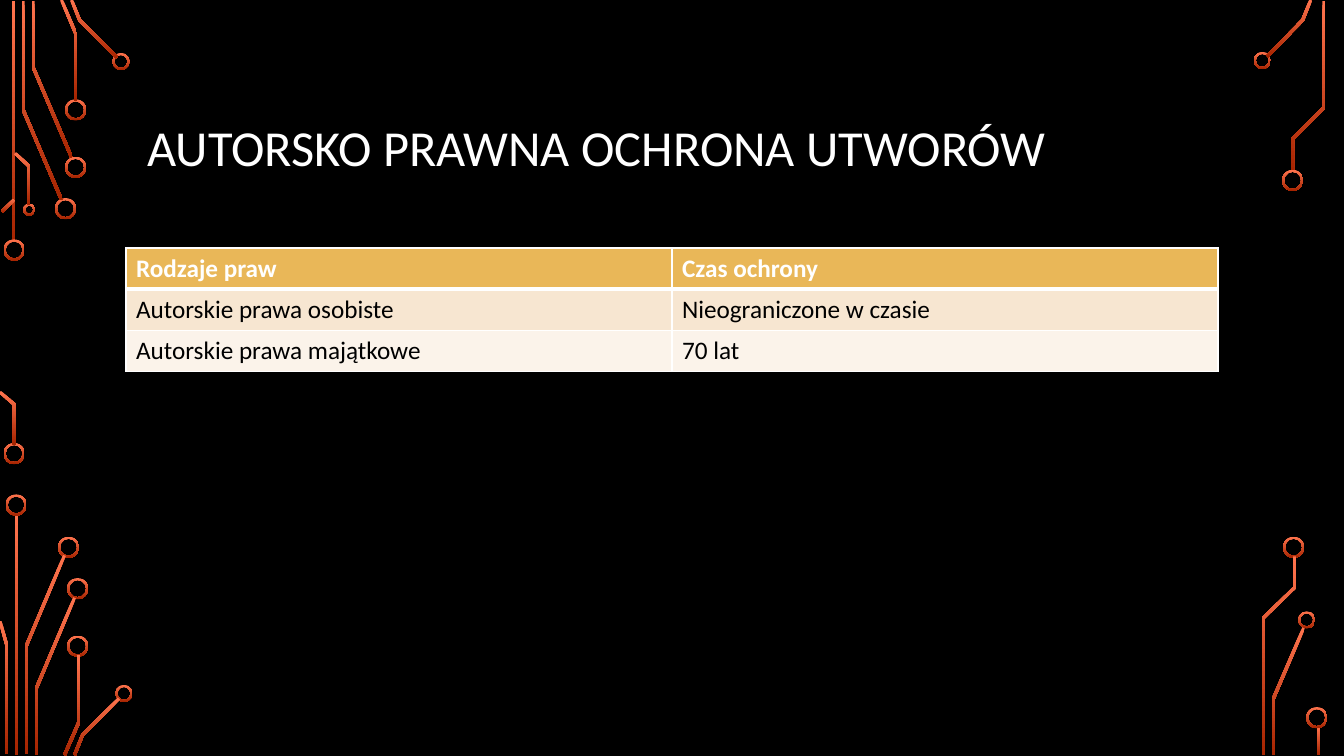
import math

import pptx
import pptx.dml.color
import pptx.enum.shapes
import pptx.enum.text
import pptx.oxml
import pptx.oxml.ns
import pptx.util

Inches, Pt = pptx.util.Inches, pptx.util.Pt

TITLE = " AUTORSKO PRAWNA OCHRONA UTWORÓW"
ROWS = [
    ("Rodzaje praw", "Czas ochrony"),
    ("Autorskie prawa osobiste", "Nieograniczone w czasie"),
    ("Autorskie prawa majątkowe", "70 lat"),
]
FILLS = ["E9B758", "F7E6D1", "FBF3EA"]
FONT, WHITE, BLACK = "Calibri", "FFFFFF", "000000"
GLOW, EMBER = "FF744E", "A62400"
WIDE = 0.03  # width of every trace and bar
RIM = 0.02  # thickness of every ring

# Bars: left, top, height
BARS = [(0.12, 0.01, 2.39), (0.15, 5.1, 2.39), (13.06, 7.21, 0.28)]

# Rings by diameter: centres
RINGS = {
    0.21: [
        (0.14, 2.48), (0.14, 4.5), (0.65, 2.07), (0.75, 1.66), (0.75, 1.09),
        (0.16, 5.01), (0.68, 5.43), (0.77, 5.84), (0.77, 6.41),
        (12.82, 1.79), (12.83, 5.43), (13.06, 7.12),
    ],
    0.17: [(1.2, 0.61), (1.23, 6.88), (12.52, 0.6), (12.96, 6.15)],
    0.12: [(0.29, 2.08)],
}

# Traces: points along the centre line
TRACES = [
    [(0.23, 0.01), (0.23, 1.09), (0.61, 1.98)],
    [(0.33, 0.01), (0.33, 0.67), (0.71, 1.56)],
    [(0.61, 0), (0.75, 0.33), (0.75, 1)],
    [(0.71, 0), (0.79, 0.2), (1.16, 0.57)],
    [(0.02, 2.1), (0.14, 1.98)],
    [(0, 3.89), (0.14, 4.01), (0.14, 4.41)],
    [(0.15, 1.52), (0.29, 1.65), (0.29, 2.03)],
    [(0.26, 7.48), (0.26, 6.41), (0.64, 5.51)],
    [(0.07, 7.48), (0.07, 6.41), (0, 6.16)],
    [(0.36, 7.49), (0.36, 6.83), (0.74, 5.93)],
    [(0.64, 7.49), (0.78, 7.17), (0.78, 6.5)],
    [(0.74, 7.49), (0.82, 7.29), (1.18, 6.93)],
    [(12.57, 0.56), (12.92, 0.2), (13, 0)],
    [(12.63, 7.49), (12.63, 6.93), (12.93, 6.23)],
    [(12.82, 1.69), (12.82, 1.38), (13.13, 1.07), (13.13, 0.01)],
    [(12.53, 7.49), (12.53, 6.13), (12.84, 5.83), (12.84, 5.52)],
]


def rgb(code):
    return pptx.dml.color.RGBColor.from_string(code)


def style(text, size, code, bold=False):
    for run in text.paragraphs[0].runs:
        run.font.name = FONT
        run.font.size = Pt(size)
        run.font.bold = bold
        run.font.color.rgb = rgb(code)


def glow(shape):
    """Give a circuit part its downward gradient, with no line or shadow."""
    shape.shadow.inherit = False
    shape.line.fill.background()
    shape.fill.gradient()
    shape.fill.gradient_angle = 270
    for stop, code in zip(shape.fill.gradient_stops, (GLOW, EMBER)):
        stop.color.rgb = rgb(code)


def outline(points):
    """Widen a centre line into a closed outline with mitred corners."""
    norms = []
    for (x, y), (u, v) in zip(points, points[1:]):
        span = math.hypot(u - x, v - y)
        norms.append(((y - v) / span, (u - x) / span))
    left, right = [], []
    for (x, y), (a, b), (c, d) in zip(points, norms[:1] + norms, norms + norms[-1:]):
        reach = WIDE / 2 / (1 + a * c + b * d)
        dx, dy = (a + c) * reach, (b + d) * reach
        left.append((x + dx, y + dy))
        right.append((x - dx, y - dy))
    return [(Inches(x), Inches(y)) for x, y in left + right[::-1]]


def border(cell, sides):
    """Draw white cell borders; sides maps an edge tag to a width in points."""
    props = cell._tc.get_or_add_tcPr()
    for tag, width in sides.items():
        props.append(pptx.oxml.parse_xml(
            f'<a:{tag} {pptx.oxml.ns.nsdecls("a")} w="{Pt(width)}">'
            f'<a:solidFill><a:srgbClr val="{WHITE}"/></a:solidFill></a:{tag}>'))


def circuit(slide):
    kind = pptx.enum.shapes.MSO_SHAPE
    parts = slide.shapes.add_group_shape().shapes
    for left, top, height in BARS:
        glow(parts.add_shape(kind.RECTANGLE, Inches(left), Inches(top),
                             Inches(WIDE), Inches(height)))
    for size, spots in RINGS.items():
        for x, y in spots:
            ring = parts.add_shape(kind.DONUT, Inches(x - size / 2), Inches(y - size / 2),
                                   Inches(size), Inches(size))
            ring.adjustments[0] = RIM / size
            glow(ring)
    for points in TRACES:
        start, *rest = outline(points)
        pen = parts.build_freeform(*start)
        pen.add_line_segments(rest, close=True)
        glow(pen.convert_to_shape())


def heading(slide):
    title = slide.shapes.title
    title.left, title.top = Inches(1.25), Inches(0.68)
    title.width, title.height = Inches(10.83), Inches(1.62)
    text = title.text_frame
    text.text = TITLE
    text.auto_size = pptx.enum.text.MSO_AUTO_SIZE.NONE
    text.vertical_anchor = pptx.enum.text.MSO_ANCHOR.MIDDLE
    text.paragraphs[0].alignment = pptx.enum.text.PP_ALIGN.LEFT
    text.paragraphs[0].line_spacing = 0.9
    style(text, 36, WHITE)


def rights(slide):
    high = 0.41
    table = slide.shapes.add_table(len(ROWS), 2, Inches(1.25), Inches(2.46),
                                   Inches(10.83), Inches(high * len(ROWS))).table
    for r, row in enumerate(ROWS):
        table.rows[r].height = Inches(high)
        for c, words in enumerate(row):
            cell = table.cell(r, c)
            border(cell, {"lnL": 1, "lnR": 1, "lnT": 3 if r == 1 else 1,
                          "lnB": 3 if r == 0 else 1})
            cell.fill.solid()
            cell.fill.fore_color.rgb = rgb(FILLS[r])
            cell.text_frame.text = words
            style(cell.text_frame, 18, BLACK if r else WHITE, bold=r == 0)


def main():
    deck = pptx.Presentation()
    deck.slide_width, deck.slide_height = Inches(13.33), Inches(7.5)
    slide = deck.slides.add_slide(deck.slide_layouts[5])
    slide.background.fill.solid()
    slide.background.fill.fore_color.rgb = rgb(BLACK)
    circuit(slide)
    heading(slide)
    rights(slide)
    deck.save("out.pptx")


if __name__ == "__main__":
    main()
